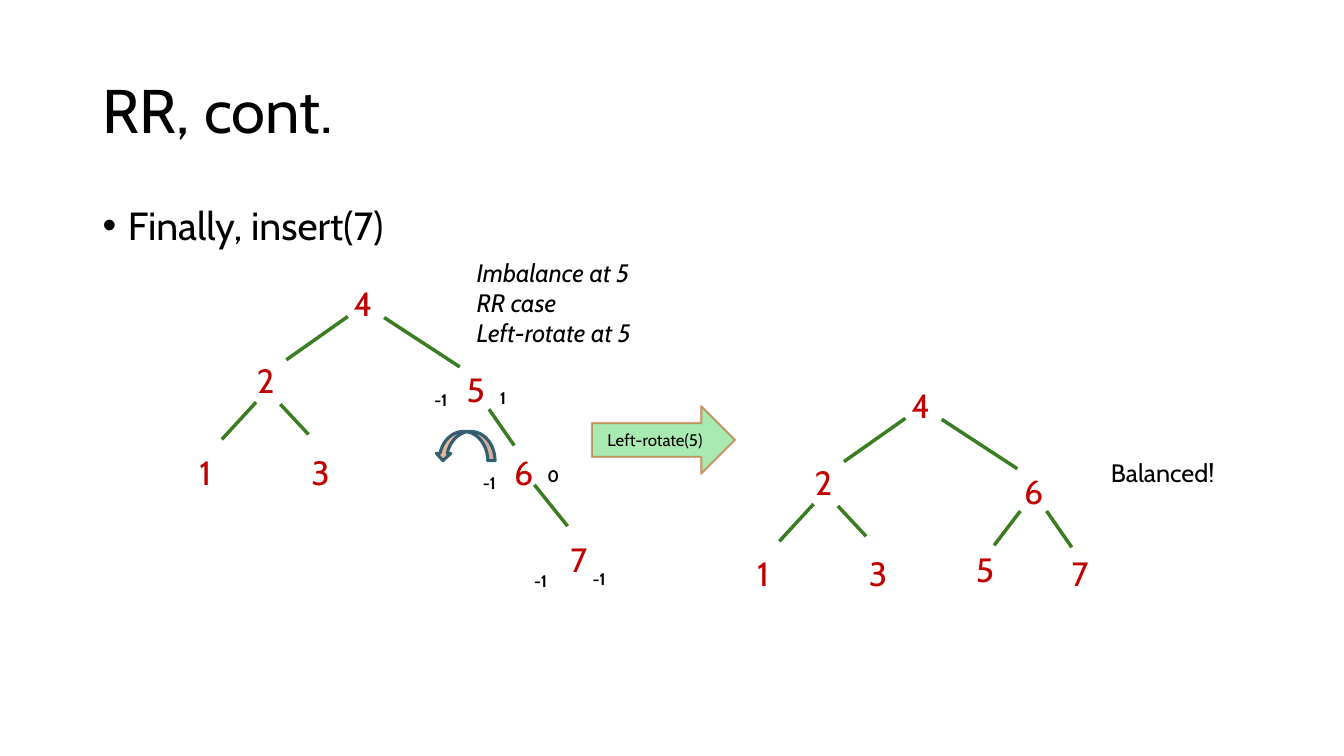
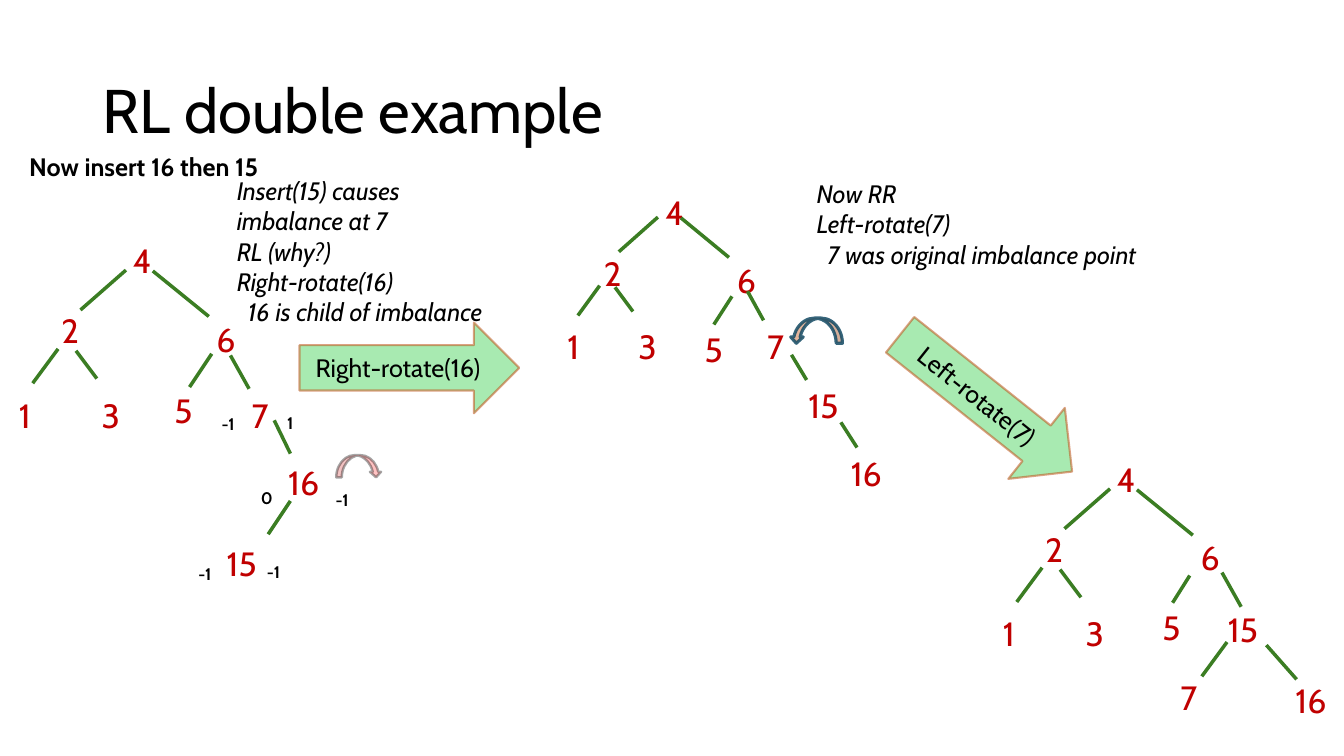
from lxml import etree
from pptx import Presentation
from pptx.dml.color import RGBColor
from pptx.enum.shapes import MSO_CONNECTOR, MSO_SHAPE
from pptx.enum.text import MSO_ANCHOR, PP_ALIGN
from pptx.oxml.ns import qn
from pptx.util import Inches, Pt

STRAIGHT = MSO_CONNECTOR.STRAIGHT
BLOCK_ARROW = MSO_SHAPE.RIGHT_ARROW
TURN_LEFT, TURN_RIGHT = MSO_SHAPE.CURVED_RIGHT_ARROW, MSO_SHAPE.CURVED_LEFT_ARROW
MIDDLE, CENTER = MSO_ANCHOR.MIDDLE, PP_ALIGN.CENTER

COLORS = {"text": "000000", "key": "C00000", "edge": "3B7D23", "green": "47D45A",
          "orange": "C04F15", "teal": "104862", "red": "FF0000"}
FONT = "Cabin"
TEXT_STYLES = {
    "title": {"size": Pt(44)},
    "bullet": {"size": Pt(28)},
    "key": {"size": Pt(24)},
    "balance": {"size": Pt(12), "bold": True},
    "step": {"size": Pt(18), "italic": True},
    "plain": {"size": Pt(18)},
    "strong": {"size": Pt(18), "bold": True},
}
# fill, fill opacity %, line, line opacity %, line width
ARROW_STYLES = {
    "rotate": ("green", 47, "orange", 53, 1.5),
    "turn": ("orange", 42, "teal", 84, 2.25),
    "faint turn": ("red", 24, "text", 35, 1.75),
}

# Tree pattern, measured from the root: key position, then the edge from its parent
TREE_PATTERN = [
    ((0, 0), None),
    ((-0.96, 0.76), (0.04, 0.38, -0.57, 0.81)),
    ((-1.53, 1.67), (-0.87, 1.23, -1.21, 1.6)),
    ((-0.42, 1.67), (-0.63, 1.25, -0.35, 1.55)),
    ((1.12, 0.85), (0.4, 0.39, 1.15, 0.88)),
    ((1.59, 1.67), (1.44, 1.3, 1.69, 1.66)),
]
NORMAL, SMALL, SMALLER = (1, 1), (0.74, 0.92), (0.635, 0.8)

SLIDES = [
    {
        "title": "RR, cont.",
        "bullet": "Finally, insert(7)",
        # root position, scale, keys in pattern order
        "trees": [(3.41, 2.76, NORMAL, "421356"), (8.94, 3.77, NORMAL, "421367")],
        # keys and edges outside the pattern
        "keys": [("7", 5.56, 5.3), ("5", 9.58, 5.4)],
        "edges": [(5.3, 4.81, 5.63, 5.22), (10.12, 5.07, 9.86, 5.41)],
        "balances": [("0", 5.33, 4.57), ("1", 4.86, 3.8), ("-1", 4.21, 3.82),
                     ("-1", 4.69, 4.64), ("-1", 5.2, 5.61), ("-1", 5.78, 5.59)],
        "notes": [
            ("step", (4.63, 2.5, 2.27, 1.01),
             ["Imbalance at 5", "RR case", "Left-rotate at 5"]),
            ("plain", (10.92, 4.49, 2.27, 0.4), ["Balanced!"]),
        ],
        # shape, style, box, rotation, label, label size
        "arrows": [
            (BLOCK_ARROW, "rotate", (5.87, 4.03, 1.42, 0.67), 0, "Left-rotate(5)", 12),
            (TURN_LEFT, "turn", (4.47, 4.13, 0.29, 0.59), 90, "", 12),
        ],
    },
    {
        "title": "RL double example",
        "bullet": "",
        "trees": [(1.22, 2.33, SMALL, "421367"), (6.5, 1.85, SMALLER, "421367"),
                  (10.98, 4.5, SMALL, "42136")],
        "keys": [("5", 1.63, 3.82), ("16", 2.76, 4.53), ("15", 2.15, 5.34),
                 ("5", 6.89, 3.21), ("15", 7.92, 3.77), ("16", 8.34, 4.44),
                 ("5", 11.43, 5.97), ("15", 12.08, 5.99),
                 ("7", 11.61, 6.67), ("16", 12.75, 6.7)],
        "edges": [(2.1, 3.51, 1.88, 3.84), (2.72, 4.17, 2.88, 4.5),
                  (2.88, 4.97, 2.66, 5.3), (7.26, 2.94, 7.08, 3.22),
                  (7.85, 3.52, 8, 3.77), (8.34, 4.19, 8.5, 4.44),
                  (11.8, 5.71, 11.63, 5.98), (12.12, 5.68, 12.31, 6.02),
                  (12.17, 6.37, 11.92, 6.71), (12.56, 6.4, 12.86, 6.74)],
        "balances": [("0", 2.49, 4.79), ("1", 2.75, 4.05), ("-1", 2.1, 4.06),
                     ("-1", 3.23, 4.81), ("-1", 1.87, 5.54), ("-1", 2.55, 5.52)],
        # a leading tab marks an indented line
        "notes": [
            ("strong", (0.19, 1.45, 3.27, 0.4), ["Now insert 16 then 15"]),
            ("step", (2.25, 1.69, 2.85, 1.62),
             ["Insert(15) causes imbalance at 7", "RL (why?)", "Right-rotate(16)",
              "\t16 is child of imbalance"]),
            ("step", (8, 1.72, 4.65, 1.01),
             ["Now RR", "Left-rotate(7)", "\t7 was original imbalance point"]),
        ],
        "arrows": [
            (BLOCK_ARROW, "rotate", (2.97, 3.2, 2.18, 0.9), 0, "Right-rotate(16)", 18),
            (BLOCK_ARROW, "rotate", (8.69, 3.55, 2.18, 0.9), 38.5, "Left-rotate(7)", 18),
            (TURN_LEFT, "turn", (7.97, 3.02, 0.25, 0.52), 90, "", 18),
            (TURN_RIGHT, "faint turn", (3.45, 4.4, 0.22, 0.45), 270, "", 18),
        ],
    },
]


def rgb(name):
    return RGBColor.from_string(COLORS[name])


def style_font(font, formats, color="text"):
    for attribute, value in {"name": FONT, **formats}.items():
        setattr(font, attribute, value)
    font.color.rgb = rgb(color)


def indent(paragraph, margin, first_line=0):
    properties = paragraph._p.get_or_add_pPr()
    properties.set("marL", str(Inches(margin)))
    properties.set("indent", str(Inches(first_line)))
    return properties


def add_text(slide, style, box, lines, color="text"):
    frame = slide.shapes.add_textbox(*map(Inches, box)).text_frame
    frame.word_wrap = True
    for number, line in enumerate(lines):
        paragraph = frame.add_paragraph() if number else frame.paragraphs[0]
        if line.startswith("\t"):
            indent(paragraph, 0.11)
        run = paragraph.add_run()
        run.text = line.lstrip("\t")
        style_font(run.font, TEXT_STYLES[style], color)
    return frame


def add_heading(slide, title, bullet):
    frame = add_text(slide, "title", (0.92, 0.4, 11.5, 1.45), [title])
    frame.vertical_anchor = MIDDLE
    frame.paragraphs[0].line_spacing = 0.9
    if bullet:
        paragraph = add_text(slide, "bullet", (0.92, 2, 11.5, 4.76), [bullet]).paragraphs[0]
        paragraph.line_spacing = 0.9
        properties = indent(paragraph, 0.25, -0.25)
        etree.SubElement(properties, qn("a:buFont")).set("typeface", "Arial")
        etree.SubElement(properties, qn("a:buChar")).set("char", "•")


def add_key(slide, key, x, y):
    width = 0.42 if len(key) == 1 else 0.67
    add_text(slide, "key", (x, y, width, 0.5), [key], "key")


def add_edge(slide, ends):
    edge = slide.shapes.add_connector(STRAIGHT, *map(Inches, ends))
    edge.line.color.rgb = rgb("edge")
    edge.line.width = Pt(2.5)
    etree.SubElement(edge._element.spPr, qn("a:effectLst"))


def add_tree(slide, root_x, root_y, scale, keys):
    scale_x, scale_y = scale
    for key, ((x, y), edge) in zip(keys, TREE_PATTERN):
        add_key(slide, key, root_x + x * scale_x, root_y + y * scale_y)
        if edge:
            x1, y1, x2, y2 = edge
            add_edge(slide, (root_x + x1 * scale_x, root_y + y1 * scale_y,
                             root_x + x2 * scale_x, root_y + y2 * scale_y))


def add_arrow(slide, outline, style, box, rotation, label, size):
    fill, fill_opacity, line, line_opacity, width = ARROW_STYLES[style]
    arrow = slide.shapes.add_shape(outline, *map(Inches, box))
    arrow.rotation = rotation
    arrow.shadow.inherit = False
    arrow.fill.solid()
    arrow.fill.fore_color.rgb = rgb(fill)
    arrow.line.color.rgb = rgb(line)
    arrow.line.width = Pt(width)
    colors = arrow._element.spPr.iter(qn("a:srgbClr"))
    for color, opacity in zip(list(colors), (fill_opacity, line_opacity)):
        etree.SubElement(color, qn("a:alpha")).set("val", str(opacity * 1000))
    if label:
        arrow.text_frame.vertical_anchor = MIDDLE
        paragraph = arrow.text_frame.paragraphs[0]
        paragraph.alignment = CENTER
        run = paragraph.add_run()
        run.text = label
        style_font(run.font, {"size": Pt(size)})


def build_slide(deck, content):
    slide = deck.slides.add_slide(deck.slide_layouts[6])
    add_heading(slide, content["title"], content["bullet"])
    for arrow in content["arrows"]:
        add_arrow(slide, *arrow)
    # Trees
    for tree in content["trees"]:
        add_tree(slide, *tree)
    for key in content["keys"]:
        add_key(slide, *key)
    for edge in content["edges"]:
        add_edge(slide, edge)
    # Balance values and remarks
    for balance, x, y in content["balances"]:
        add_text(slide, "balance", (x, y, 0.46, 0.3), [balance])
    for note in content["notes"]:
        add_text(slide, *note)


def main():
    deck = Presentation()
    deck.slide_width, deck.slide_height = Inches(13.33), Inches(7.5)
    for content in SLIDES:
        build_slide(deck, content)
    deck.save("out.pptx")


if __name__ == "__main__":
    main()
